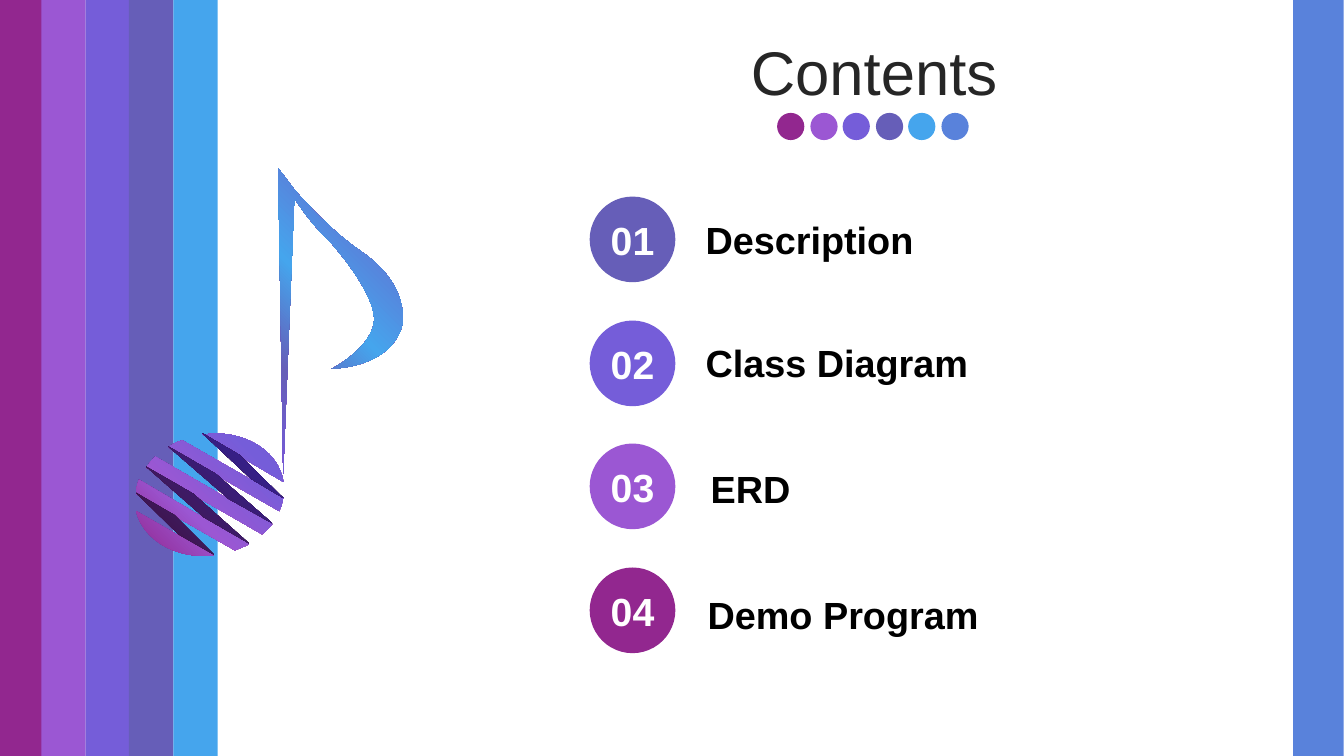
from dataclasses import dataclass

from lxml import etree
from pptx import Presentation
from pptx.dml.color import RGBColor
from pptx.enum.shapes import MSO_SHAPE
from pptx.enum.text import MSO_ANCHOR, MSO_AUTO_SIZE, PP_ALIGN
from pptx.oxml.ns import qn
from pptx.util import Pt

PX = 9144
SLIDE_WIDTH, SLIDE_HEIGHT = 12192000, 6858000
OVAL, RECTANGLE = MSO_SHAPE.OVAL, MSO_SHAPE.RECTANGLE
LEFT, CENTER = PP_ALIGN.LEFT, PP_ALIGN.CENTER
TOP, MIDDLE = MSO_ANCHOR.TOP, MSO_ANCHOR.MIDDLE
GROW = MSO_AUTO_SIZE.SHAPE_TO_FIT_TEXT


@dataclass(frozen=True)
class Theme:
    font: str = "Arial"
    magenta: str = "92278F"
    orchid: str = "9B57D3"
    violet: str = "755DD9"
    indigo: str = "665EB8"
    sky: str = "45A5ED"
    blue: str = "5982DB"
    shadow: str = "A6A6A6"
    title: str = "262626"
    label: str = "000000"
    number: str = "FFFFFF"
    title_size: int = 44
    number_size: int = 28
    label_size: int = 27

    @property
    def palette(self):
        return [self.magenta, self.orchid, self.violet,
                self.indigo, self.sky, self.blue]

    @property
    def note_stops(self):
        return list(zip((0, 15, 34, 51, 68, 83), self.palette))

    @property
    def shade_stops(self):
        return [(0, "3A1039"), (34, "3F195E"), (80, "35208A"), (100, "342F6A")]


THEME = Theme()

ENTRIES = [
    ("Description", THEME.indigo, 688, 210),
    ("Class Diagram", THEME.violet, 688, 332),
    ("ERD", THEME.orchid, 693, 457),
    ("Demo Program", THEME.magenta, 690, 582),
]

NOTE_OUTLINES = [
    [(135, 507), (212, 551), (175, 555, 142, 536, 135, 507)],
    [(138, 476), (247, 540), (243, 542, 238, 544, 233, 546), (135, 490),
     (135, 485, 136, 481, 138, 476)],
    [(154, 453), (270, 520), (267, 524, 264, 527, 260, 530), (145, 464),
     (148, 460, 151, 456, 154, 453)],
    [(181, 437), (281, 494), (280, 499, 279, 503, 277, 507), (167, 444),
     (171, 441, 176, 438, 181, 437)],
    [(215, 430), (248, 431, 276, 449, 281, 477), (281, 477, 281, 478, 281, 478),
     (201, 431), (206, 431, 210, 430, 215, 430)],
    [(276, 167), (292, 188), (292, 188), (298, 195),
     (313, 211, 333, 232, 359, 250), (408, 284, 399, 322, 399, 322),
     (399, 322, 394, 362, 329, 366), (329, 366, 366, 347, 371, 321),
     (375, 295, 335, 247, 321, 233), (321, 234, 307, 219, 295, 201),
     (292, 197), (281, 470)],
]
SHADE_OUTLINES = [
    [(135, 489), (173, 511), (212, 550), (177, 530)],
    [(145, 463), (192, 490), (247, 539), (202, 513)],
    [(167, 443), (214, 470), (270, 519), (227, 495)],
    [(201, 430), (237, 451), (281, 494), (249, 475)],
]


class SlideBuilder:
    def __init__(self, page, theme):
        self.page = page
        self.theme = theme

    def group(self):
        return self.page.shapes.add_group_shape().shapes

    def shape(self, kind, left, top, width, height, color, shapes=None):
        target = self.page.shapes if shapes is None else shapes
        shape = target.add_shape(kind, left * PX, top * PX, width * PX, height * PX)
        shape.shadow.inherit = False
        shape.fill.solid()
        shape.fill.fore_color.rgb = RGBColor.from_string(color)
        shape.line.fill.background()
        return shape

    def soft_shadow(self, left, top, width, height, opacity, radius, shapes):
        shape = self.shape(OVAL, left, top, width, height, self.theme.shadow, shapes)
        properties = shape.element.spPr
        color = next(properties.iter(qn("a:srgbClr")))
        etree.SubElement(color, qn("a:alpha"), val=str(opacity * 1000))
        effects = properties.find(qn("a:effectLst"))
        etree.SubElement(effects, qn("a:softEdge"), rad=str(radius * PX))

    def text(self, words, left, top, width, height, size, color,
             bold=False, align=LEFT, anchor=TOP, inset=10):
        box = self.page.shapes.add_textbox(left * PX, top * PX, width * PX, height * PX)
        frame = box.text_frame
        frame.word_wrap = True
        frame.auto_size = GROW
        frame.vertical_anchor = anchor
        frame.margin_left = frame.margin_right = inset * PX
        para = frame.paragraphs[0]
        para.text = words
        para.alignment = align
        para.font.name = self.theme.font
        para.font.size = Pt(size)
        para.font.bold = bold
        para.font.color.rgb = RGBColor.from_string(color)

    def outline(self, outlines, stops, shapes):
        builder = shapes.build_freeform(*outlines[0][0], scale=PX)
        for index, outline in enumerate(outlines):
            if index:
                builder.move_to(*outline[0])
            builder.add_line_segments([step[-2:] for step in outline[1:]], close=True)
        shape = builder.convert_to_shape()
        shape.shadow.inherit = False
        shape.line.fill.background()
        self.bend(shape, outlines)
        self.gradient(shape, stops)

    def bend(self, shape, outlines):
        ends = [step[-2:] for outline in outlines for step in outline]
        left, top = (min(values) for values in zip(*ends))
        steps = [step for outline in outlines for step in outline[1:]]
        segments = list(shape.element.spPr.iter(qn("a:lnTo")))
        for segment, step in zip(segments, steps):
            if len(step) == 2:
                continue
            segment.tag = qn("a:cubicBezTo")
            segment.remove(segment[0])
            for x, y in zip(step[::2], step[1::2]):
                etree.SubElement(segment, qn("a:pt"), x=str(x - left), y=str(y - top))

    def gradient(self, shape, stops):
        shape.fill.gradient()
        shape.fill.gradient_angle = 45
        stop_list = next(shape.element.spPr.iter(qn("a:gsLst")))
        for stop in list(stop_list):
            stop_list.remove(stop)
        for position, color in stops:
            stop = etree.SubElement(stop_list, qn("a:gs"), pos=str(position * 1000))
            etree.SubElement(stop, qn("a:srgbClr"), val=color)


def main():
    deck = Presentation()
    deck.slide_width, deck.slide_height = SLIDE_WIDTH, SLIDE_HEIGHT
    page = deck.slides.add_slide(deck.slide_layouts[6])
    slide = SlideBuilder(page, THEME)

    stripes = slide.group()
    for index, color in enumerate(THEME.palette[:5]):
        slide.shape(RECTANGLE, -2 + 87 * index // 2, 0, 44, 750, color, stripes)
    slide.shape(RECTANGLE, 1283, 0, 50, 750, THEME.blue)

    slide.text("Contents", 735, 28, 277, 84, THEME.title_size, THEME.title, anchor=MIDDLE)

    for index, (label, color, left, top) in enumerate(ENTRIES):
        circle_top = 195 + (245 * index + 1) // 2
        slide.shape(OVAL, 585, circle_top, 85, 85, color)
        slide.text(f"{index + 1:02}", 590, circle_top + 15, 75, 57,
                   THEME.number_size, THEME.number, bold=True, align=CENTER, inset=12)
        slide.text(label, left, top, 493, 56,
                   THEME.label_size, THEME.label, bold=True, inset=12)

    note = slide.group()
    slide.outline(NOTE_OUTLINES, THEME.note_stops, note)
    slide.outline(SHADE_OUTLINES, THEME.shade_stops, note)
    slide.soft_shadow(69, 581, 280, 73, 10, 35, note)

    dots = slide.group()
    for index, color in enumerate(THEME.palette):
        slide.shape(OVAL, 771 + (65 * index + 1) // 2, 112, 27, 27, color, dots)

    deck.save("out.pptx")


if __name__ == "__main__":
    main()
